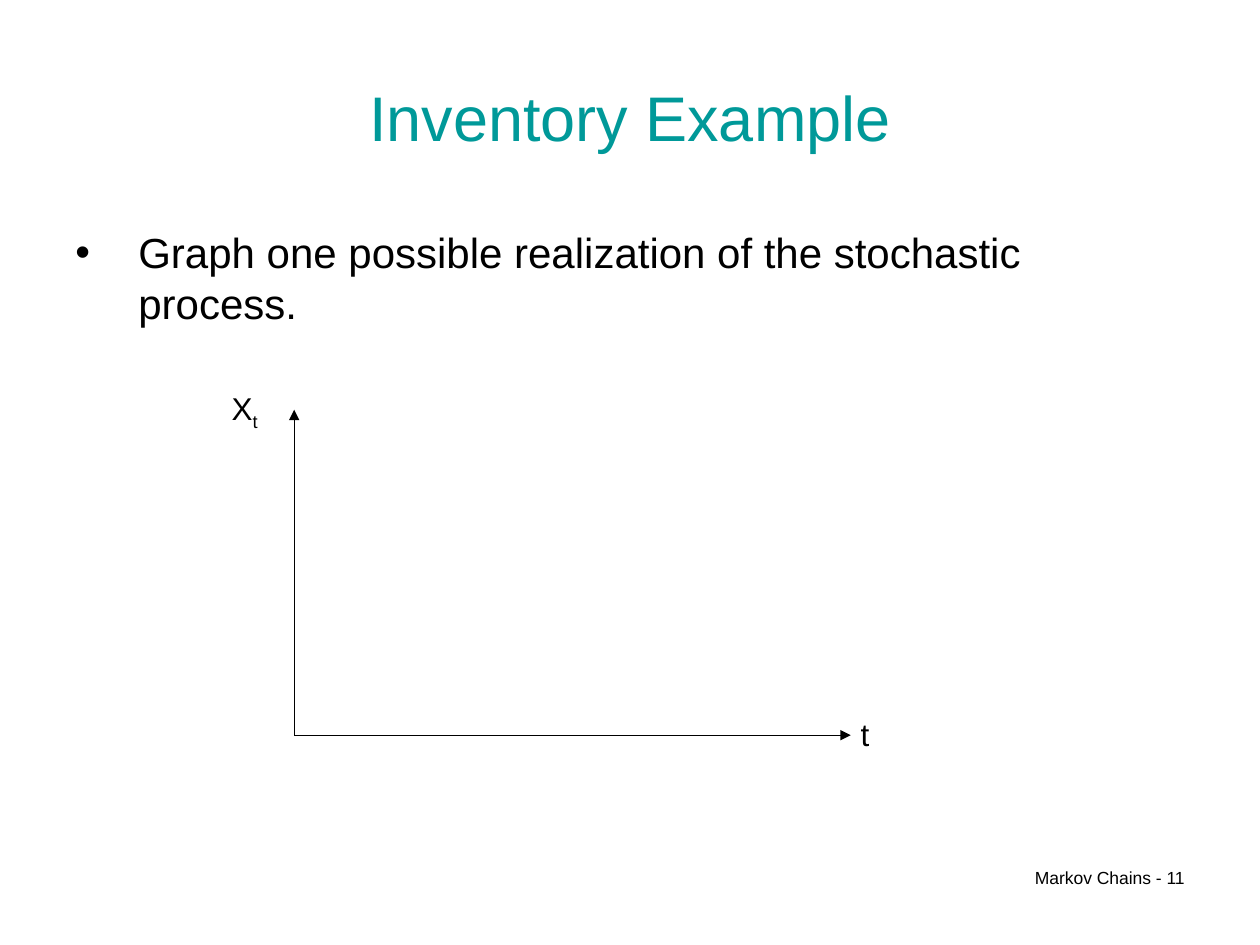
from pptx import Presentation, util as u
from pptx.dml import color
from pptx.enum import shapes, text
from pptx.oxml import ns
from lxml import etree


class Theme:
    font = "Arial"
    ink = color.RGBColor(0, 0, 0)
    teal = color.RGBColor(0, 0x99, 0x99)
    head, body, label, foot = 36, 24, 18, 10
    line = 0.75


def add_box(x, y, w, h, wrap=True):
    box = slide.shapes.add_textbox(u.Cm(x), u.Cm(y), u.Cm(w), u.Cm(h))
    frame = box.text_frame
    frame.word_wrap = wrap
    if not wrap:
        frame.auto_size = text.MSO_AUTO_SIZE.SHAPE_TO_FIT_TEXT
    return frame


def add_run(para, words, size, tint=Theme.ink):
    run = para.add_run()
    run.text = words
    run.font.name = Theme.font
    run.font.size = u.Pt(size)
    run.font.color.rgb = tint
    return run


deck = Presentation()
deck.slide_width, deck.slide_height = u.Cm(25.4), u.Cm(19.05)
slide = deck.slides.add_slide(deck.slide_layouts[6])

foot = add_box(18.21, 17.35, 5.92, 1.32).paragraphs[0]
foot.alignment = text.PP_ALIGN.RIGHT
add_run(foot, "Markov Chains - 11", Theme.foot)

head = add_box(1.27, 0.76, 22.86, 3.18)
head.vertical_anchor = text.MSO_ANCHOR.MIDDLE
head.paragraphs[0].alignment = text.PP_ALIGN.CENTER
add_run(head.paragraphs[0], "Inventory Example", Theme.head, Theme.teal)

body = add_box(1.27, 4.45, 22.86, 12.27).paragraphs[0]
body.space_before = u.Pt(6)
add_run(body, "Graph one possible realization of the stochastic process.", Theme.body)
props = body._p.get_or_add_pPr()
props.set("marL", str(u.Cm(1.27)))
props.set("indent", str(u.Cm(-1.27)))
etree.SubElement(props, ns.qn("a:buFont"), typeface=Theme.font)
etree.SubElement(props, ns.qn("a:buChar"), char="•")

left, base = 5.93, 14.82
for x, y in [(17.15, base), (left, 8.26)]:
    axis = slide.shapes.add_connector(
        shapes.MSO_CONNECTOR.STRAIGHT, u.Cm(left), u.Cm(base), u.Cm(x), u.Cm(y))
    axis.line.color.rgb = Theme.ink
    axis.line.width = u.Pt(Theme.line)
    etree.SubElement(axis.line._get_or_add_ln(), ns.qn("a:tailEnd"), type="triangle")
    etree.SubElement(axis._element.spPr, ns.qn("a:effectLst"))

state = add_box(4.42, 7.72, 1.06, 1.12, False).paragraphs[0]
add_run(state, "X", Theme.label)
sub = add_run(state, "t", Theme.label)
sub.font._element.set("baseline", "-25000")

time = add_box(17.1, 14.28, 0.69, 1.02, False).paragraphs[0]
add_run(time, "t", Theme.label)

deck.save("out.pptx")
